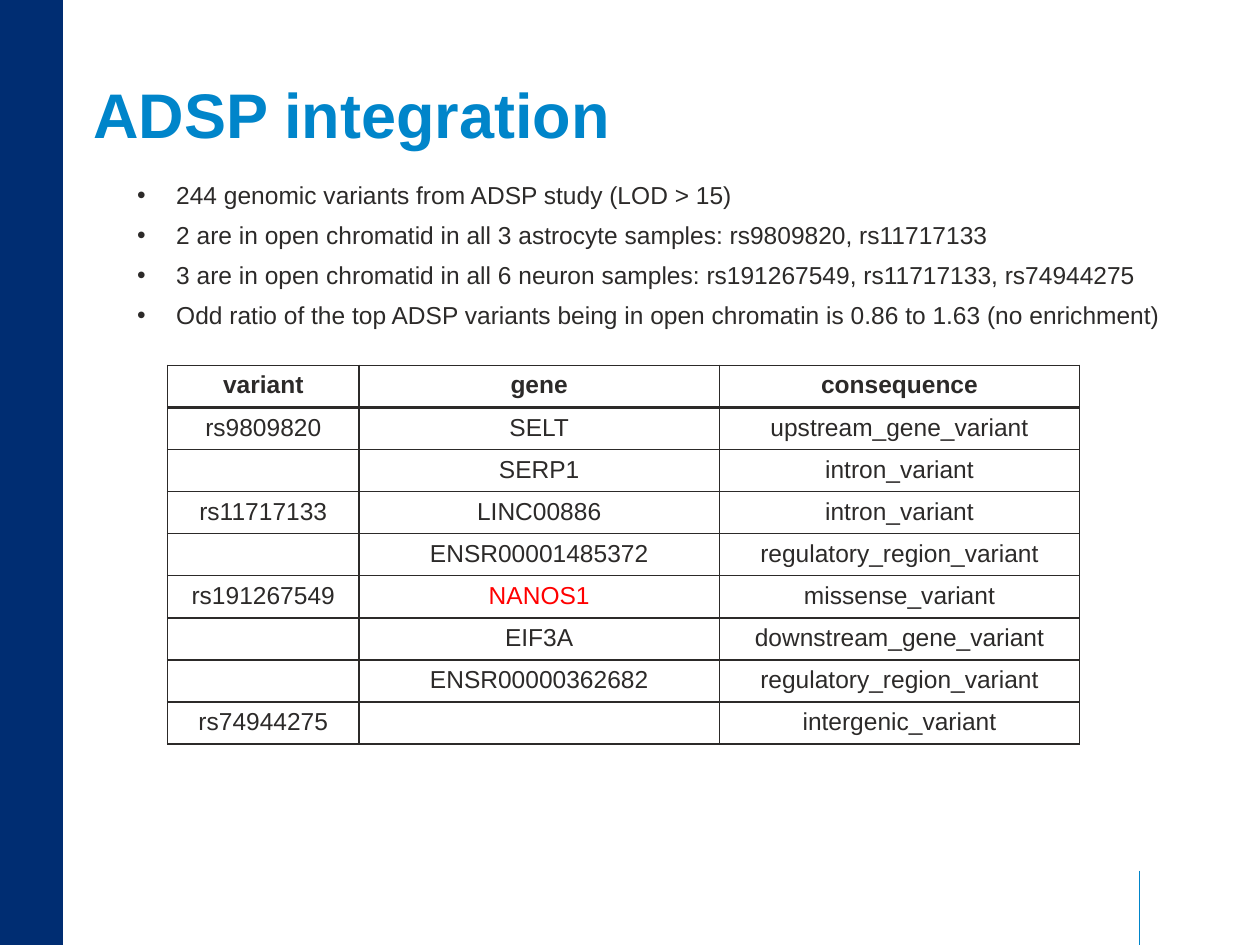
from lxml import etree
from pptx import Presentation
from pptx.dml.color import RGBColor
from pptx.enum.shapes import MSO_CONNECTOR, MSO_SHAPE
from pptx.enum.text import MSO_ANCHOR, MSO_AUTO_SIZE, PP_ALIGN
from pptx.oxml.ns import qn
from pptx.util import Inches, Pt

STRAIGHT = MSO_CONNECTOR.STRAIGHT
RECTANGLE = MSO_SHAPE.RECTANGLE
MIDDLE, TOP = MSO_ANCHOR.MIDDLE, MSO_ANCHOR.TOP
GROW = MSO_AUTO_SIZE.SHAPE_TO_FIT_TEXT
LEFT, CENTER = PP_ALIGN.LEFT, PP_ALIGN.CENTER

WIDTH, HEIGHT = 10, 7.5
RIGHT_EDGE = 9.5
FONT = "Arial"
BODY_SIZE = 14
COLORS = {
    "navy": "002D72",
    "blue": "0085CA",
    "ink": "2C2A29",
    "red": "FF0000",
    "white": "FFFFFF",
}

BULLETS = [
    "244 genomic variants from ADSP study (LOD > 15)",
    "2 are in open chromatid in all 3 astrocyte samples: rs9809820, rs11717133",
    "3 are in open chromatid in all 6 neuron samples: rs191267549, rs11717133, rs74944275",
    "Odd ratio of the top ADSP variants being in open chromatin is 0.86 to 1.63 (no enrichment)",
]
VARIANTS = [
    ("variant", "gene", "consequence"),
    ("rs9809820", "SELT", "upstream_gene_variant"),
    ("", "SERP1", "intron_variant"),
    ("rs11717133", "LINC00886", "intron_variant"),
    ("", "ENSR00001485372", "regulatory_region_variant"),
    ("rs191267549", "NANOS1", "missense_variant"),
    ("", "EIF3A", "downstream_gene_variant"),
    ("", "ENSR00000362682", "regulatory_region_variant"),
    ("rs74944275", "", "intergenic_variant"),
]
COLUMN_WIDTHS = [1.52, 2.86, 2.86]
HIGHLIGHTED_GENE = "NANOS1"


def color(name):
    return RGBColor.from_string(COLORS[name])


def format_runs(para, size, color_name, bold=False):
    for span in para.runs:
        span.font.name = FONT
        span.font.size = Pt(size)
        span.font.bold = bold
        span.font.color.rgb = color(color_name)


def place(shape, left, top, width, height):
    shape.left, shape.top = Inches(left), Inches(top)
    shape.width, shape.height = Inches(width), Inches(height)


def add_side_band(page):
    band = page.shapes.add_shape(RECTANGLE, 0, 0, Inches(WIDTH / 20), Inches(HEIGHT))
    band.shadow.inherit = False
    band.fill.solid()
    band.fill.fore_color.rgb = color("navy")
    band.line.fill.background()


def add_footer_rule(page, x, top):
    rule = page.shapes.add_connector(
        STRAIGHT, Inches(x), Inches(top), Inches(x), Inches(HEIGHT))
    rule.line.color.rgb = color("blue")
    rule.line.width = Pt(0.25)
    etree.SubElement(rule._element.spPr, qn("a:effectLst"))


def set_title(page, text):
    title = page.shapes.title
    place(title, 0.64, 0.36, RIGHT_EDGE - 0.64, 0.96)
    title.text_frame.text = text
    title.text_frame.vertical_anchor = MIDDLE
    para = title.text_frame.paragraphs[0]
    para.alignment = LEFT
    para.line_spacing = 1.2
    format_runs(para, 36, "blue", bold=True)


def add_bullets(page, lines):
    box = page.shapes.add_textbox(
        Inches(0.99), Inches(1.31), Inches(RIGHT_EDGE - 0.99), Inches(1.31))
    frame = box.text_frame
    frame.word_wrap = True
    frame.auto_size = GROW
    frame.vertical_anchor = TOP
    frame.text = "\n".join(lines)
    for para in frame.paragraphs:
        para.line_spacing = 1.3
        para.space_before = Pt(1)
        format_runs(para, BODY_SIZE, "ink")
        # Hanging bullet
        properties = para._p.get_or_add_pPr()
        properties.set("marL", str(Inches(0.31)))
        properties.set("indent", str(-Inches(0.31)))
        etree.SubElement(properties, qn("a:buFont"), typeface=FONT)
        etree.SubElement(properties, qn("a:buChar"), char="•")


def set_borders(cell, top=1, bottom=1):
    properties = cell._tc.get_or_add_tcPr()
    for side, width in (("L", 1), ("R", 1), ("T", top), ("B", bottom)):
        line = etree.SubElement(properties, qn(f"a:ln{side}"), w=str(Pt(width)))
        fill = etree.SubElement(line, qn("a:solidFill"))
        etree.SubElement(fill, qn("a:srgbClr"), val=COLORS["ink"])


def set_cell_fill(cell, tinted):
    if not tinted:
        cell.fill.background()
        return
    cell.fill.solid()
    cell.fill.fore_color.rgb = color("white")
    tint = cell._tc.tcPr.find(qn("a:solidFill")).find(qn("a:srgbClr"))
    etree.SubElement(tint, qn("a:alpha"), val="20000")


def set_cell_text(cell, text, bold):
    cell.text_frame.text = text
    para = cell.text_frame.paragraphs[0]
    para.alignment = CENTER
    format_runs(para, BODY_SIZE, "red" if text == HIGHLIGHTED_GENE else "ink", bold)
    if not text:  # keeps empty cells at the body size
        etree.SubElement(para._p, qn("a:endParaRPr"), sz=str(BODY_SIZE * 100))


def add_variant_table(page, rows):
    height = 3
    table = page.shapes.add_table(
        len(rows), len(COLUMN_WIDTHS), Inches(1.33), Inches(2.9),
        Inches(sum(COLUMN_WIDTHS)), Inches(height)).table
    table.horz_banding = False
    table.first_row = False
    for column, width in zip(table.columns, COLUMN_WIDTHS):
        column.width = Inches(width)
    for r, values in enumerate(rows):
        table.rows[r].height = Inches(height / len(rows))
        for c, text in enumerate(values):
            cell = table.cell(r, c)
            set_cell_text(cell, text, bold=r == 0)
            # The header is set off by a heavier line
            set_borders(cell, top=2 if r == 1 else 1, bottom=2 if r == 0 else 1)
            set_cell_fill(cell, tinted=r == 1)


def main():
    deck = Presentation()
    deck.slide_width, deck.slide_height = Inches(WIDTH), Inches(HEIGHT)
    page = deck.slides.add_slide(deck.slide_layouts[5])

    # Frame of the page
    add_footer_rule(page, 9.04, 6.91)
    add_side_band(page)

    # Content
    set_title(page, "ADSP integration")
    add_bullets(page, BULLETS)
    add_variant_table(page, VARIANTS)
    deck.save("out.pptx")


if __name__ == "__main__":
    main()
